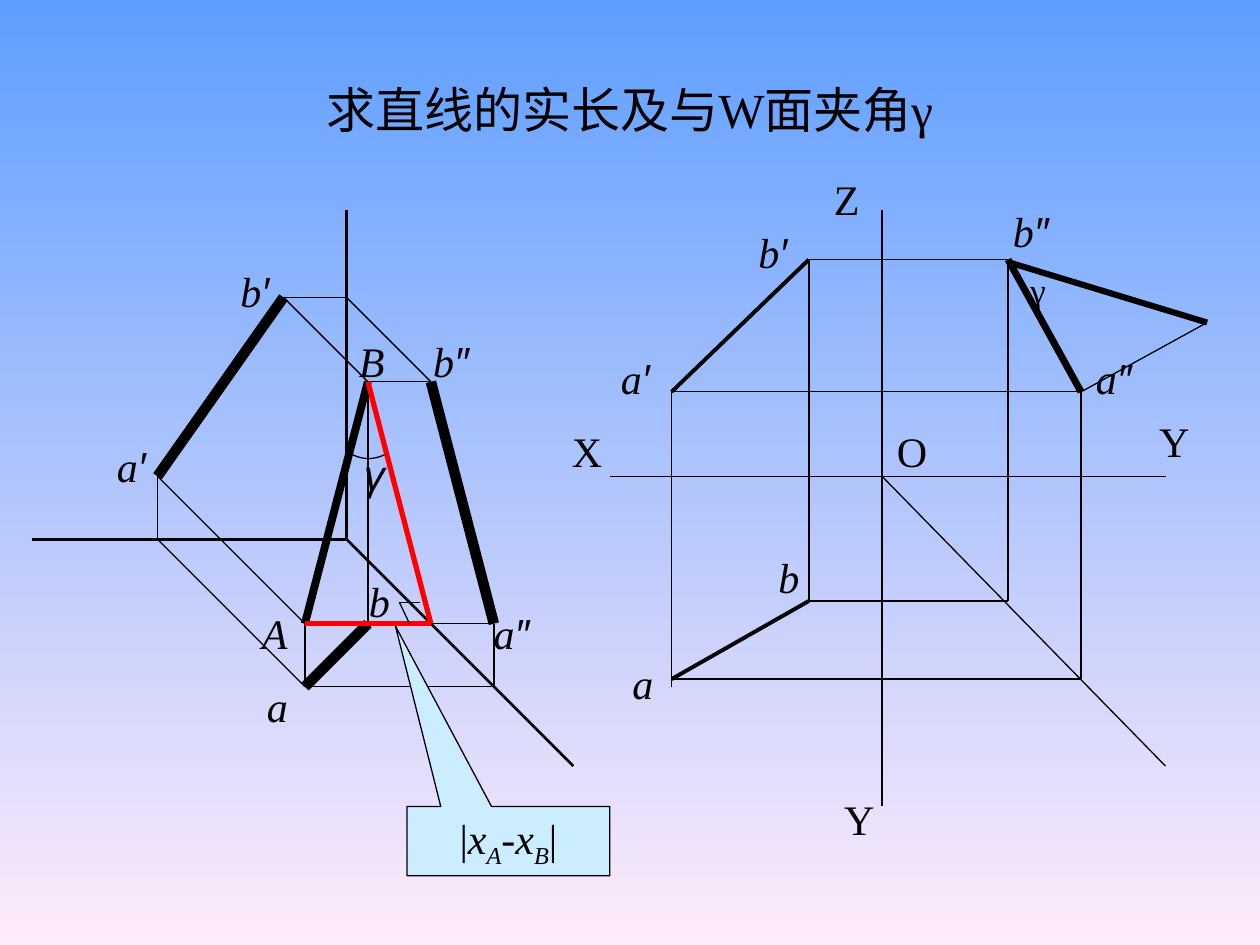
from dataclasses import dataclass

from lxml import etree
from pptx import Presentation
from pptx.dml.color import RGBColor
from pptx.enum.shapes import MSO_CONNECTOR, MSO_SHAPE
from pptx.enum.text import MSO_ANCHOR, MSO_AUTO_SIZE, PP_ALIGN
from pptx.oxml.ns import qn
from pptx.util import Inches, Pt

STRAIGHT = MSO_CONNECTOR.STRAIGHT
CALLOUT = MSO_SHAPE.RECTANGULAR_CALLOUT
MIDDLE = MSO_ANCHOR.MIDDLE
GROW = MSO_AUTO_SIZE.SHAPE_TO_FIT_TEXT
CENTER = PP_ALIGN.CENTER


@dataclass(frozen=True)
class Theme:
    ink: RGBColor = RGBColor(0, 0, 0)
    accent: RGBColor = RGBColor(0xFF, 0, 0)
    callout: RGBColor = RGBColor(0xCC, 0xEC, 0xFF)
    sky: RGBColor = RGBColor(0x5E, 0x9E, 0xFF)
    blush: RGBColor = RGBColor(0xFF, 0xEB, 0xFA)
    serif: str = "Times New Roman"
    sans: str = "Arial"
    title_size: int = 28
    label_size: int = 24
    small_size: int = 20
    thin: float = 0.75


class Drawing:
    """Draws on the slide, or on the group opened last."""

    def __init__(self, slide, theme):
        self.slide = slide
        self.theme = theme
        self.target = slide.shapes

    def group(self):
        self.target = self.slide.shapes.add_group_shape().shapes

    def ungroup(self):
        self.target = self.slide.shapes

    def background(self):
        fill = self.slide.background.fill
        fill.gradient()
        fill.gradient_angle = 270
        for stop, color, position in zip(
                fill.gradient_stops, (self.theme.sky, self.theme.blush), (0, 1)):
            stop.color.rgb = color
            stop.position = position

    def line(self, start, end, width=None, color=None):
        connector = self.target.add_connector(
            STRAIGHT, *(Inches(v) for v in (*start, *end)))
        connector.line.color.rgb = color or self.theme.ink
        connector.line.width = Pt(width or self.theme.thin)
        etree.SubElement(connector._element.spPr, qn("a:effectLst"))

    def lines(self, points, pairs, width=None, color=None):
        """Join named points; each pair is written as "start end"."""
        for pair in pairs:
            start, end = pair.split()
            self.line(points[start], points[end], width, color)

    def style(self, paragraph, size, italic=False, font=None):
        paragraph.font.size = Pt(size)
        paragraph.font.italic = italic
        paragraph.font.name = font or self.theme.serif
        paragraph.font.color.rgb = self.theme.ink

    def text_box(self, left, top, width, height):
        box = self.target.add_textbox(*map(Inches, (left, top, width, height)))
        box.text_frame.word_wrap = True
        return box.text_frame

    def title(self, text):
        paragraph = self.text_box(0.75, 0.58, 8.5, 0.58).paragraphs[0]
        paragraph.text = text
        paragraph.alignment = CENTER
        self.style(paragraph, self.theme.title_size)

    def label(self, text, left, top, width, size=None, italic=True, font=None):
        """Place a point or axis name; prime marks use the sans font."""
        size = size or self.theme.label_size
        frame = self.text_box(left, top, width, 0.1 + size / 60)
        frame.auto_size = GROW
        paragraph = frame.paragraphs[0]
        for part in text:
            run = paragraph.add_run()
            run.text = part
            if part in "′″":
                run.font.name = self.theme.sans
        self.style(paragraph, size, italic, font)

    def point_labels(self, places):
        for text, left, top in places:
            width = {"′": 1, "″": 0.73}.get(text[-1], 0.73 if text.isupper() else 0.33)
            self.label(text, left, top, width)

    def angle_mark(self, left, top, width, depth, steps=12):
        """Draw a shallow curve sagging between two level ends."""
        curve = []
        for i in range(steps + 1):
            t = i / steps
            curve.append((Inches(left + width * t), Inches(top + 4 * depth * t * (1 - t))))
        builder = self.target.build_freeform(*curve[0])
        builder.add_line_segments(curve[1:], close=False)
        mark = builder.convert_to_shape()
        mark.fill.background()
        mark.line.color.rgb = self.theme.ink
        mark.line.width = Pt(self.theme.thin)
        mark.shadow.inherit = False

    def callout(self, parts, left, top, width, height, tip):
        """Each part is (text, italic, subscript)."""
        shape = self.target.add_shape(CALLOUT, *map(Inches, (left, top, width, height)))
        shape.adjustments[0], shape.adjustments[1] = tip
        shape.fill.solid()
        shape.fill.fore_color.rgb = self.theme.callout
        shape.line.color.rgb = self.theme.ink
        shape.line.width = Pt(self.theme.thin)
        shape.shadow.inherit = False
        frame = shape.text_frame
        frame.word_wrap = False
        frame.vertical_anchor = MIDDLE
        paragraph = frame.paragraphs[0]
        paragraph.alignment = CENTER
        for text, italic, subscript in parts:
            run = paragraph.add_run()
            run.text = text
            run.font.italic = italic
            if subscript:
                run._r.get_or_add_rPr().set("baseline", "-25000")
        self.style(paragraph, self.theme.label_size)


def draw_spatial_view(drawing):
    points = {
        "A": (2.42, 4.95), "B": (2.92, 3.03), "a": (2.42, 5.45), "b": (2.92, 4.95),
        "a′": (1.25, 3.78), "b′": (2.25, 2.36), "a″": (3.92, 4.95), "b″": (3.42, 3.03),
        "ax": (1.25, 4.28), "ay": (3.92, 5.45), "bz": (2.75, 2.36), "corner": (3.42, 4.95),
        "O": (2.75, 4.28), "X": (0.25, 4.28), "Y": (4.55, 6.08), "Z": (2.75, 1.67),
    }
    drawing.point_labels([
        ("A", 1.98, 4.77), ("B", 2.75, 2.61), ("b", 2.83, 4.52), ("b′", 1.81, 2.06),
        ("a″", 3.82, 4.77), ("b″", 3.34, 2.61), ("a", 2.02, 5.35), ("a′", 0.83, 3.45)])
    drawing.lines(points, ["a′ ax", "A a", "b′ bz", "bz b″", "b′ B", "B b″", "a′ A",
                           "ax a", "a ay", "ay a″", "A a″", "B b"])
    drawing.lines(points, ["b″ a″", "b′ a′", "a b"], 6)
    drawing.lines(points, ["X O", "Y O", "Z O"], 1.5)
    drawing.lines(points, ["A B"], 4.5)

    drawing.group()
    theme = drawing.theme
    drawing.lines(points, ["B corner"], 3, theme.accent)
    drawing.label("γ", 2.79, 3.51, 0.42, font=theme.sans)
    drawing.angle_mark(2.8, 3.61, 0.25, 0.03)
    drawing.lines(points, ["A corner"], 3, theme.accent)
    right_angle = (3.17, 4.78)
    drawing.line((3.33, 4.78), right_angle)
    drawing.line(right_angle, (3.25, 4.95))
    drawing.callout(
        [("|", False, False), ("x", True, False), ("A", True, True),
         ("-x", True, False), ("B", True, True), ("|", False, False)],
        3.23, 6.4, 1.61, 0.55, (-0.557, -3.103))
    drawing.ungroup()


def draw_projections(drawing):
    points = {
        "a": (5.33, 5.39), "b": (6.42, 4.77), "a′": (5.33, 3.11), "b′": (6.42, 2.06),
        "a″": (8.58, 3.11), "b″": (8, 2.06), "ay": (8.58, 5.39), "by": (8, 4.77),
        "a_end": (5.33, 5.45), "X": (4.84, 3.78), "Yw": (9.25, 3.78), "Z": (7, 1.67),
        "Yh": (7, 6.4), "O": (7, 3.78), "diagonal": (9.25, 6.08),
        "tip": (9.58, 2.56), "b_edge": (8, 2.08),
    }
    drawing.group()
    drawing.lines(points, ["X Yw", "Z Yh", "a′ a_end", "b′ b", "b′ b″", "a′ a″", "a ay",
                           "by b″", "ay a″", "O diagonal", "b by"])
    drawing.lines(points, ["a′ b′", "b a"], 2.25)
    drawing.lines(points, ["b″ a″"], 4)
    for axis, left, top in [("X", 4.44, 3.33), ("Z", 6.52, 1.33), ("Y", 6.6, 6.25),
                            ("Y", 9.1, 3.25), ("O", 7.02, 3.33)]:
        drawing.label(axis, left, top, 0.48, italic=False)
    drawing.point_labels([
        ("a′", 4.83, 2.75), ("b′", 5.92, 1.75), ("a", 4.92, 5.17),
        ("b", 6.08, 4.33), ("a″", 8.6, 2.75), ("b″", 7.94, 1.58)])
    drawing.ungroup()
    drawing.lines(points, ["a″ tip"])
    drawing.lines(points, ["b_edge tip"], 3.5)
    drawing.label("γ", 8.08, 2.08, 0.67, drawing.theme.small_size, italic=False)


def main():
    deck = Presentation()
    deck.slide_width, deck.slide_height = Inches(10), Inches(7.5)
    drawing = Drawing(deck.slides.add_slide(deck.slide_layouts[6]), Theme())
    drawing.background()
    drawing.title("求直线的实长及与W面夹角γ")
    draw_spatial_view(drawing)
    draw_projections(drawing)
    deck.save("out.pptx")


if __name__ == "__main__":
    main()
